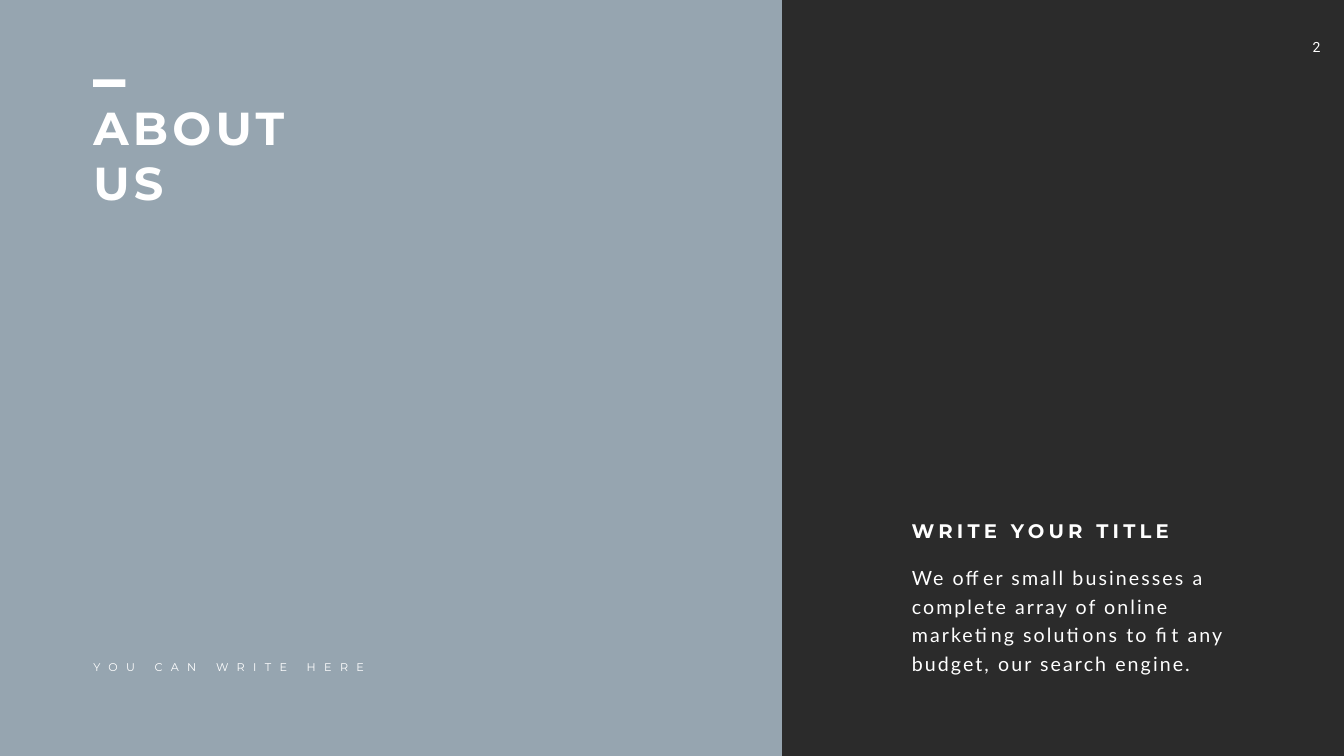
from dataclasses import dataclass

import pptx
import pptx.dml.color
import pptx.enum.shapes
import pptx.enum.text
import pptx.oxml.ns
import pptx.util
from lxml import etree

Cm = pptx.util.Cm
Pt = pptx.util.Pt
Align = pptx.enum.text.PP_ALIGN


@dataclass(frozen=True)
class Theme:
    background = pptx.dml.color.RGBColor(0x2B, 0x2B, 0x2B)
    panel = pptx.dml.color.RGBColor(0xB1, 0xC4, 0xD2)
    light = pptx.dml.color.RGBColor(0xFF, 0xFF, 0xFF)
    panel_opacity = 80
    heading_font = "Montserrat"
    body_font = "Lato"
    number_font = "Roboto"
    title_size = Pt(66)
    text_size = Pt(28)
    number_size = Pt(20)
    footer_size = Pt(16)


theme = Theme()


def write_text(shape, box, lines, font, size, bold=False, spacing=0, align=Align.LEFT):
    """Place a text shape and format its lines; spacing is letter spacing in points."""
    shape.left, shape.top, shape.width, shape.height = [Cm(length) for length in box]
    frame = shape.text_frame
    frame.word_wrap = True
    frame.auto_size = pptx.enum.text.MSO_AUTO_SIZE.NONE
    frame.vertical_anchor = pptx.enum.text.MSO_ANCHOR.TOP
    frame.text = "\n".join(lines)
    for paragraph in frame.paragraphs:
        properties = paragraph._p.get_or_add_pPr()
        properties.set("marL", "0")
        properties.set("indent", "0")
        etree.SubElement(properties, pptx.oxml.ns.qn("a:buNone"))
        paragraph.alignment = align
        paragraph.space_before = Pt(0)
        paragraph.font.name = font
        paragraph.font.size = size
        paragraph.font.bold = bold
        paragraph.font.color.rgb = theme.light
        properties.find(pptx.oxml.ns.qn("a:defRPr")).set("spc", str(spacing * 100))
    return frame


def add_rectangle(box, color):
    shape = slide.shapes.add_shape(
        pptx.enum.shapes.MSO_SHAPE.RECTANGLE, *[Cm(length) for length in box])
    shape.shadow.inherit = False
    shape.fill.solid()
    shape.fill.fore_color.rgb = color
    shape.line.fill.background()
    return shape


presentation = pptx.Presentation()
presentation.slide_width = Cm(67.72)
presentation.slide_height = Cm(38.1)
slide = presentation.slides.add_slide(presentation.slide_layouts[1])
slide.background.fill.solid()
slide.background.fill.fore_color.rgb = theme.background

left_margin = 4.45
right_column = 45.69

# Translucent panel, sent behind the placeholders
panel = add_rectangle((0, 0, 39.4, 38.1), theme.panel)
panel_color = panel._element.spPr.find(".//" + pptx.oxml.ns.qn("a:srgbClr"))
alpha = etree.SubElement(panel_color, pptx.oxml.ns.qn("a:alpha"))
alpha.set("val", str(theme.panel_opacity * 1000))
slide.shapes._spTree.insert(2, panel._element)

add_rectangle((4.69, 4, 1.63, 0.38), theme.light)

write_text(slide.shapes.title, (left_margin, 4.88, 13.39, 5.89), ["ABOUT", "US"],
           theme.heading_font, theme.title_size, bold=True, spacing=6)

body = write_text(
    slide.placeholders[1], (right_column, 28.14, 16.33, 5.94),
    ["We offer small businesses a complete array of online marketing solutions "
     "to fit any budget, our search engine."],
    theme.body_font, theme.text_size, spacing=3)
body.paragraphs[0].line_spacing = Pt(40.8)

heading, footer, number = [slide.shapes.add_textbox(0, 0, 0, 0) for _ in range(3)]
write_text(heading, (right_column, 26.01, 14.53, 1.45), ["WRITE YOUR TITLE"],
           theme.heading_font, theme.text_size, bold=True, spacing=6)
write_text(footer, (left_margin, 33.15, 14.68, 0.94), ["YOU CAN WRITE HERE"],
           theme.heading_font, theme.footer_size, spacing=12)
number_frame = write_text(number, (65.25, 1.7, 2.57, 1.37), ["2"],
                          theme.number_font, theme.number_size, align=Align.CENTER)
number_frame.margin_left = Cm(0.5)
number_frame.margin_right = Cm(0.9)
number_frame.margin_top = number_frame.margin_bottom = Cm(0.25)

presentation.save("out.pptx")
